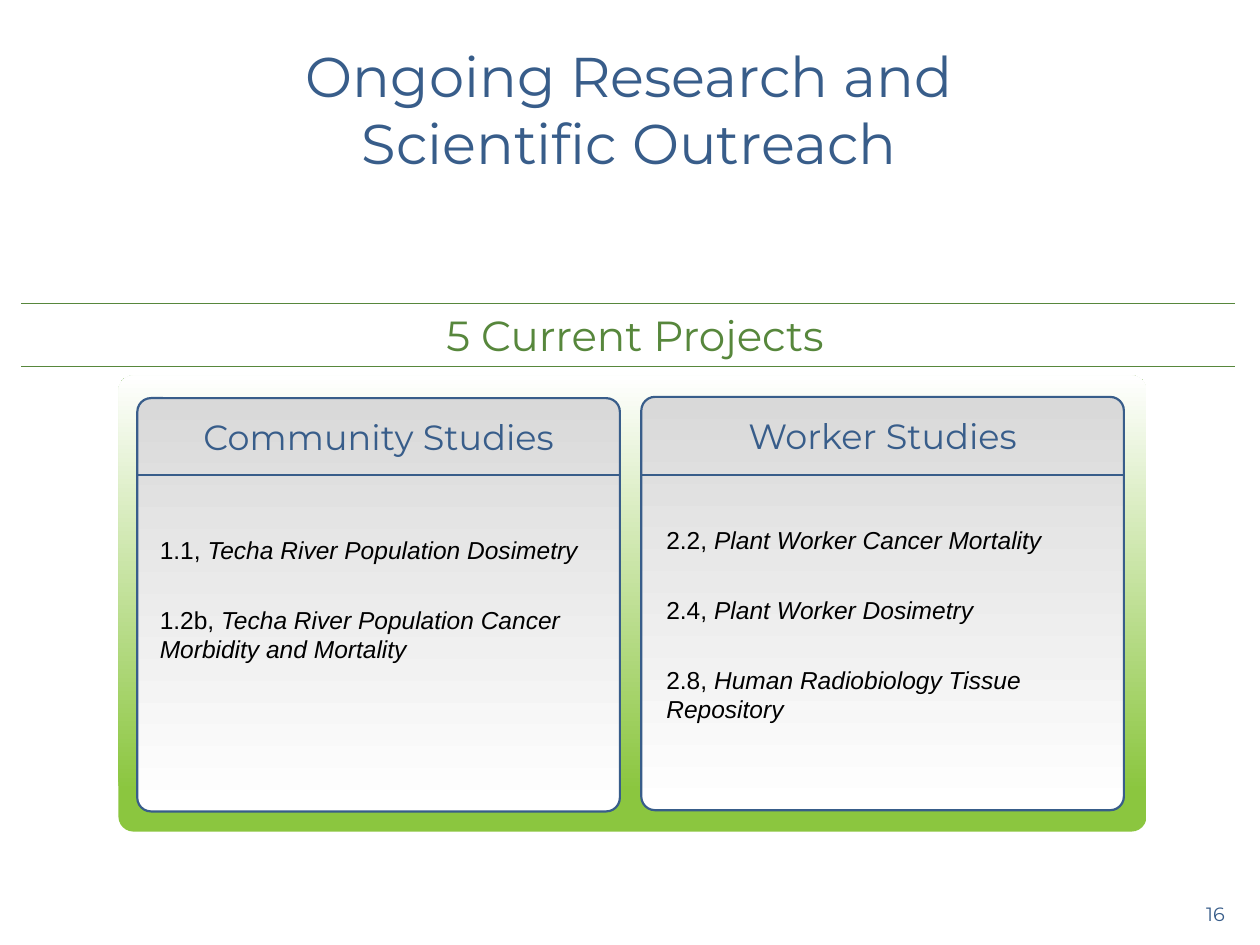
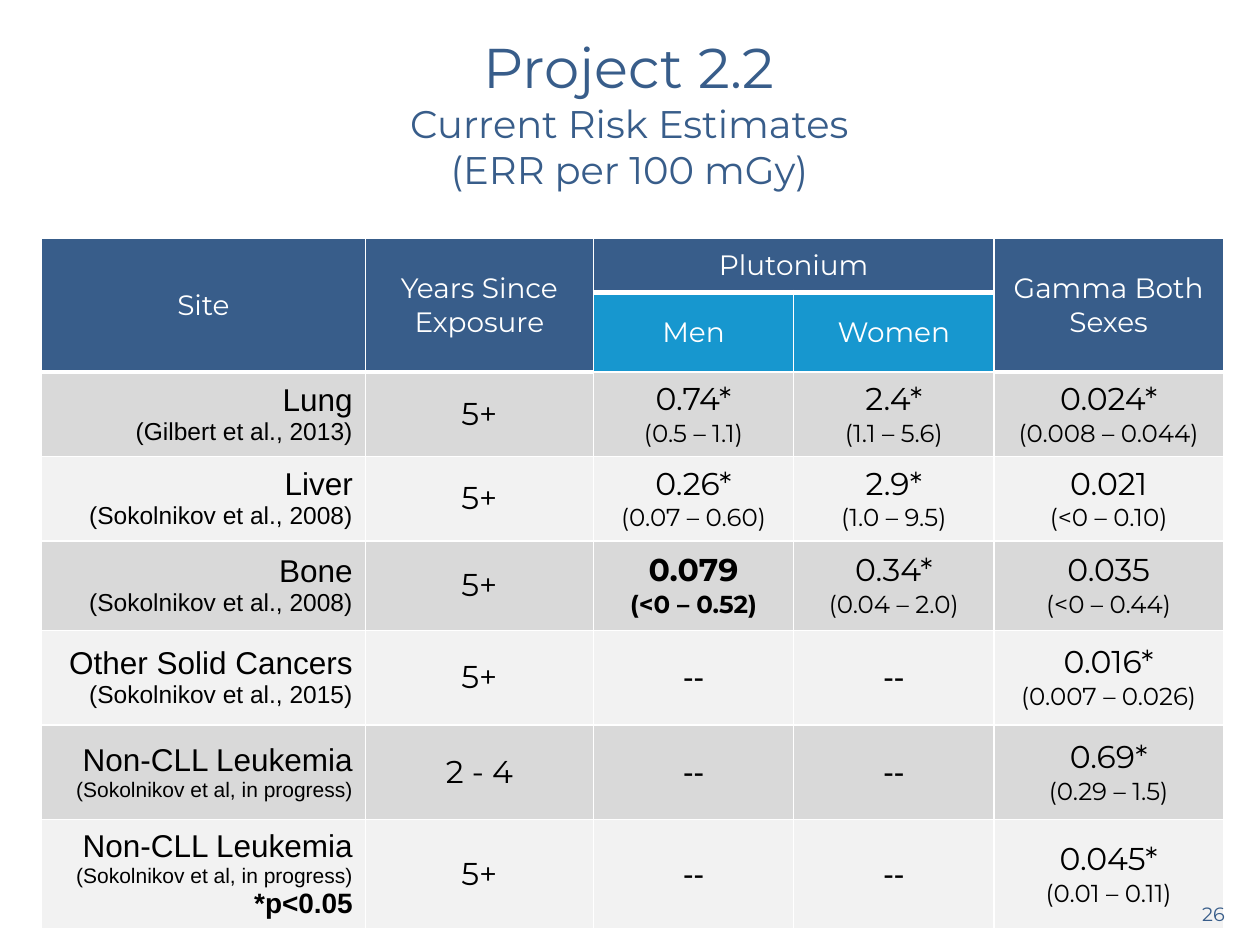
from lxml.etree import SubElement as Sub
from pptx import Presentation
from pptx.dml.color import RGBColor as RGB
from pptx.enum.shapes import MSO_CONNECTOR as Link, MSO_SHAPE as Shape
from pptx.enum.text import MSO_ANCHOR as Anchor, PP_ALIGN as Align
from pptx.oxml.ns import qn
from pptx.util import Inches, Pt

NAVY = RGB(0x38, 0x5D, 0x8A)
SKY = RGB(0x17, 0x97, 0xCF)
GREEN = RGB(0x57, 0x87, 0x3C)
LIME = RGB(0x8B, 0xC6, 0x3F)
GRAY = RGB(0xD9, 0xD9, 0xD9)
PALE = RGB(0xF2, 0xF2, 0xF2)
WHITE = RGB(0xFF, 0xFF, 0xFF)
BLACK = RGB(0, 0, 0)
MAIN, BODY = "Montserrat", "Arial"

PANELS = [
    (1.09, 3.16, "Community Studies", (1.17, 4.2, 3.66, 1.18), [
        ("1.1, ", "Techa River Population Dosimetry"),
        ("1.2b, ", "Techa River Population Cancer Morbidity and Mortality"),
    ]),
    (5.09, 3.15, "Worker Studies", (5.19, 4.12, 3.66, 2.36), [
        ("2.2, ", "Plant Worker Cancer Mortality"),
        ("2.4, ", "Plant Worker Dosimetry"),
        ("2.8, ", "Human Radiobiology Tissue Repository"),
    ]),
]
WIDE, TALL = 3.83, 3.28

COLS = [2.57, 1.81, 1.59, 1.59, 1.82]
ROWS = [0.43, 0.43, 0.67, 0.67, 0.71, 0.75, 0.75, 0.87]
HEADS = [
    (0, 0, 1, 0, "Site"),
    (0, 1, 1, 1, "Years Since Exposure"),
    (0, 2, 0, 3, "Plutonium"),
    (0, 4, 1, 4, "Gamma Both Sexes"),
    (1, 2, 1, 2, "Men"),
    (1, 3, 1, 3, "Women"),
]
NONE = ("--",)
RISKS = [
    (("Lung", "(Gilbert et al., 2013)"), "5+",
     ("0.74*", "(0.5 – 1.1)"), ("2.4*", "(1.1 – 5.6)"), ("0.024*", "(0.008 – 0.044)")),
    (("Liver", "(Sokolnikov et al., 2008)"), "5+",
     ("0.26*", "(0.07 – 0.60)"), ("2.9*", "(1.0 – 9.5)"), ("0.021", "(<0 – 0.10)")),
    (("Bone", "(Sokolnikov et al., 2008)"), "5+",
     ("0.079", "(<0 – 0.52)"), ("0.34*", "(0.04 – 2.0)"), ("0.035", "(<0 – 0.44)")),
    (("Other Solid Cancers", "(Sokolnikov et al., 2015)"), "5+",
     NONE, NONE, ("0.016*", "(0.007 – 0.026)")),
    (("Non-CLL Leukemia", "(Sokolnikov et al, in progress)"), "2 - 4",
     NONE, NONE, ("0.69*", "(0.29 – 1.5)")),
    (("Non-CLL Leukemia", "(Sokolnikov et al, in progress)", "*p<0.05"), "5+",
     NONE, NONE, ("0.045*", "(0.01 – 0.11)")),
]
BOLD = {"0.079", "(<0 – 0.52)", "*p<0.05"}


def style(font, size, color, name=MAIN, bold=None):
    font.size, font.name, font.bold = Pt(size), name, bold
    font.color.rgb = color


def add_box(slide, area):
    frame = slide.shapes.add_textbox(*map(Inches, area)).text_frame
    frame.word_wrap = True
    return frame


def add_label(slide, area, text, size, color=NAVY, align=Align.CENTER):
    frame = add_box(slide, area)
    para = frame.paragraphs[0]
    para.text, para.alignment = text, align
    style(para.font, size, color)
    return frame


def add_slide(deck, top, title, page):
    slide = deck.slides.add_slide(deck.slide_layouts[6])
    frame = add_label(slide, (0.1, top, 9.79, 1.13), title, 32)
    frame.vertical_anchor = Anchor.MIDDLE
    add_label(slide, (7.49, 7.11, 2.33, 0.23), page, 11, align=Align.RIGHT)
    return slide, frame.paragraphs[0]


def add_card(slide, area, stops, angle):
    card = slide.shapes.add_shape(Shape.ROUNDED_RECTANGLE, *map(Inches, area))
    card.adjustments[0] = 0.033
    card.shadow.inherit = False
    card.fill.gradient()
    card.fill.gradient_angle = angle
    for stop, (place, color) in zip(card.fill.gradient_stops, stops):
        stop.position, stop.color.rgb = place, color
    card.line.fill.background()
    return card


def add_rule(slide, left, right, y, color, width):
    ends = map(Inches, (left, y, right, y))
    rule = slide.shapes.add_connector(Link.STRAIGHT, *ends)
    rule.line.color.rgb, rule.line.width = color, Pt(width)
    Sub(rule._element.spPr, qn("a:effectLst"))


def add_panel(slide, left, top, head, area, items):
    card = add_card(slide, (left, top, WIDE, TALL), [(0, GRAY), (1, WHITE)], 270)
    card.line.color.rgb, card.line.width = NAVY, Pt(1.25)
    frame = add_box(slide, area)
    for i, (code, name) in enumerate(items):
        para = frame.add_paragraph() if i else frame.paragraphs[0]
        para.space_before = Pt(23 if i else 3)
        style(para.font, 14, BLACK, BODY)
        para.add_run().text = code
        run = para.add_run()
        run.text, run.font.italic = name, True
    add_label(slide, (left, top + 0.09, WIDE, 0.44), head, 20)
    add_rule(slide, left, left + WIDE, 3.77, NAVY, 1.25)


def paint(cell, color, base=1):
    props = cell._tc.get_or_add_tcPr()
    for side in "LRTB":
        width = Pt(base if side == "B" else 1)
        line = Sub(props, qn(f"a:ln{side}"), w=str(width))
        Sub(Sub(line, qn("a:solidFill")), qn("a:srgbClr"), val=str(WHITE))
    cell.fill.solid()
    cell.fill.fore_color.rgb = color
    cell.vertical_anchor = Anchor.MIDDLE


def write(cell, lines, align, color, sizes, name):
    for i, (text, size) in enumerate(zip(lines, sizes)):
        para = cell.text_frame.add_paragraph() if i else cell.text_frame.paragraphs[0]
        para.text, para.alignment = text, align
        style(para.font, size, color, name, text in BOLD)


def add_risks(slide):
    area = map(Inches, (0.33, 1.89, sum(COLS), sum(ROWS)))
    table = slide.shapes.add_table(len(ROWS), len(COLS), *area).table
    for col, width in zip(table.columns, COLS):
        col.width = Inches(width)
    for row, height in zip(table.rows, ROWS):
        row.height = Inches(height)
    for top, left, low, right, text in HEADS:
        sub = top == 1
        for r in range(top, low + 1):
            for c in range(left, right + 1):
                paint(table.cell(r, c), SKY if sub else NAVY, 1 if sub else 3)
        cell = table.cell(top, left)
        if (top, left) != (low, right):
            cell.merge(table.cell(low, right))
        write(cell, [text], Align.CENTER, WHITE, [16], MAIN)
    for r, (site, years, *risks) in enumerate(RISKS, 2):
        for c, lines in enumerate([site, (years,), *risks]):
            cell = table.cell(r, c)
            paint(cell, PALE if r % 2 else GRAY)
            small = 12 if "progress" in lines[-1] or len(lines) == 3 else 14
            name = BODY if c == 0 or lines == NONE else MAIN
            align = Align.CENTER if c else Align.RIGHT
            write(cell, lines, align, BLACK, (18, small, 16), name)


def main():
    deck = Presentation()
    deck.slide_width, deck.slide_height = Inches(10), Inches(7.5)

    slide, _ = add_slide(deck, 0.3, "Ongoing Research and\vScientific Outreach", "16")
    add_card(slide, (0.94, 2.98, 8.16, 3.62), [(0.09, LIME), (1, WHITE)], 90)
    for panel in PANELS:
        add_panel(slide, *panel)
    add_label(slide, (2.32, 2.41, 5.44, 0.51), "5 Current Projects", 24, GREEN)
    for y in (2.41, 2.91):
        add_rule(slide, 0.17, 9.8, y, GREEN, 0.75)

    slide, title = add_slide(deck, 0.33, "Project 2.2", "26")
    for text in ("Current Risk Estimates", "(ERR per 100 mGy)"):
        title.add_line_break()
        run = title.add_run()
        run.text, run.font.size = text, Pt(22)
    page = slide.shapes[-1]._element
    add_risks(slide)
    slide.shapes._spTree.append(page)
    deck.save("out.pptx")


if __name__ == "__main__":
    main()
